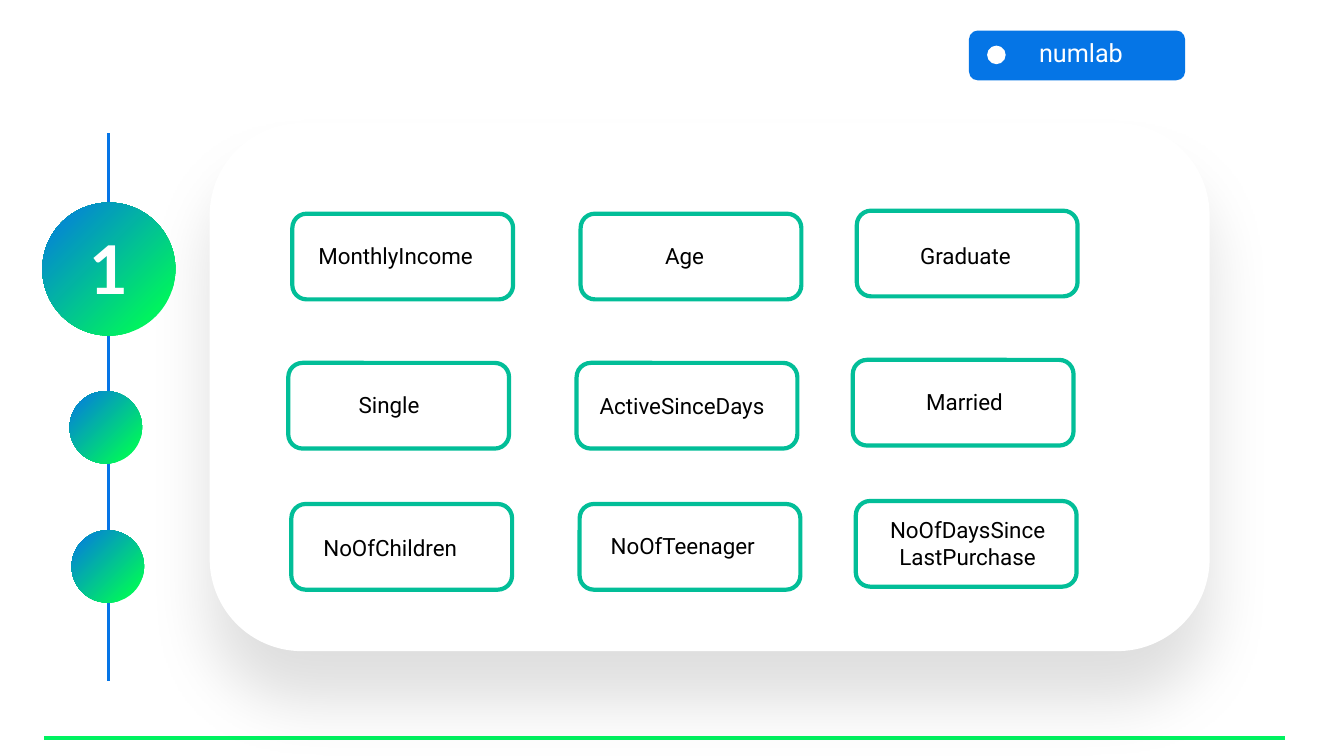
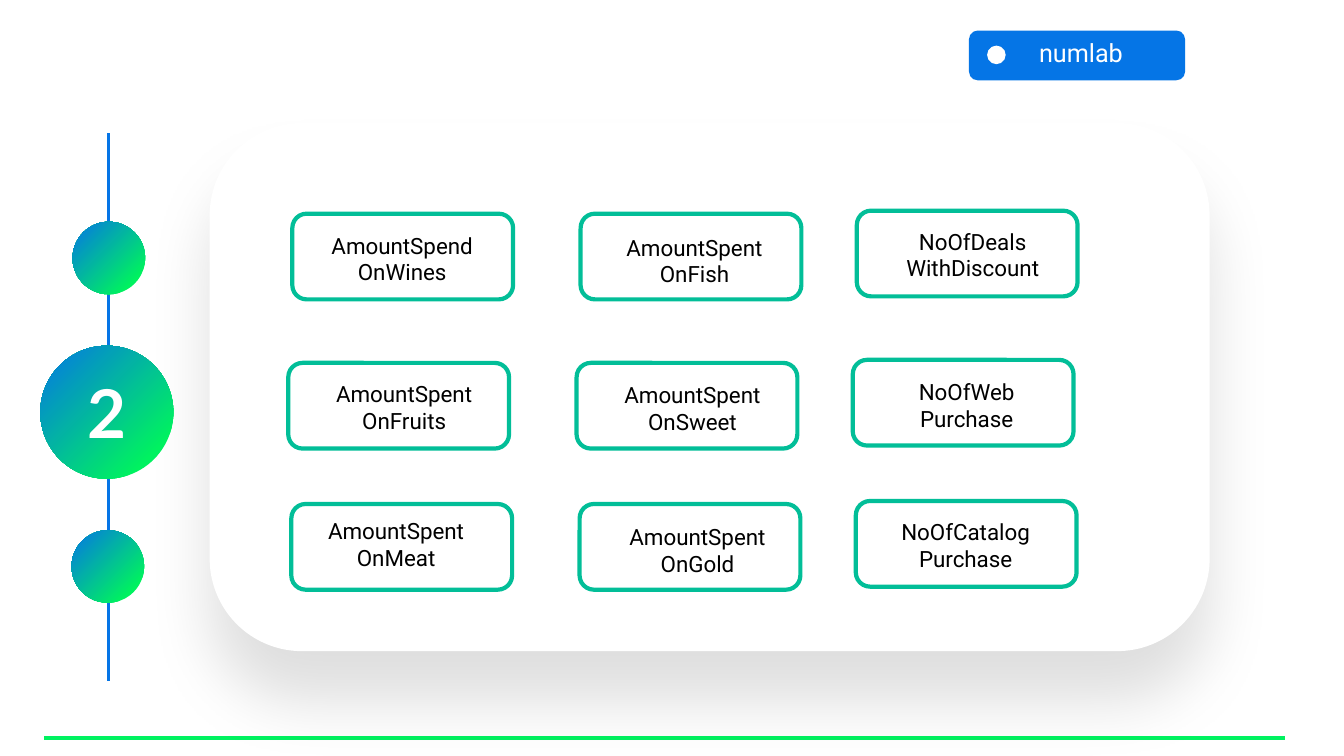
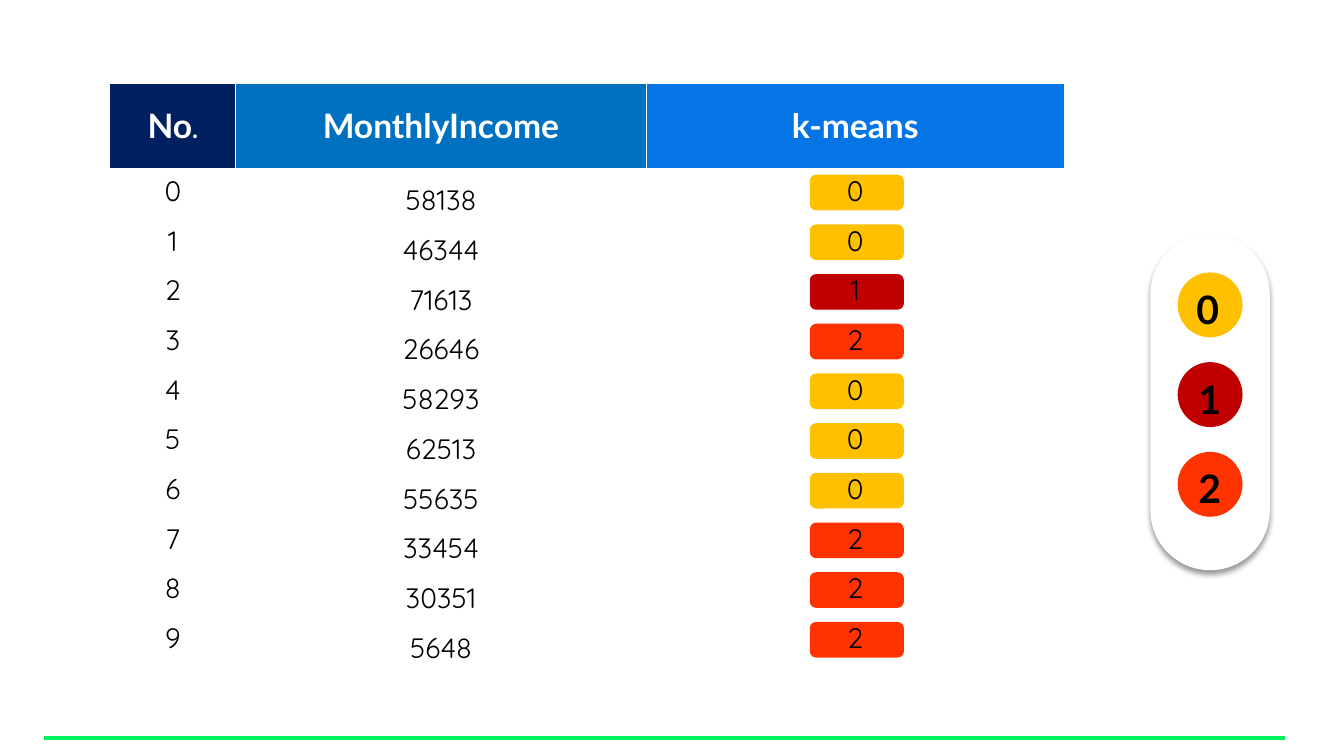
from collections import namedtuple

from lxml import etree
from pptx import Presentation
from pptx import util as u
from pptx.dml import color
from pptx.enum import shapes, text
from pptx.oxml import ns

CELL = u.Inches(0.1)
COLUMNS, ROWS = 133.33, 75
GREEN, BLUE, TEAL = "00F260", "0575E6", "02BE98"
WHITE, BLACK = "FFFFFF", "000000"
CLUSTERS = {"0": "FFC000", "1": "C00000", "2": "FF3300"}
ROUND, CIRCLE = shapes.MSO_SHAPE.ROUNDED_RECTANGLE, shapes.MSO_SHAPE.FLOWCHART_CONNECTOR
CENTER, LEFT = text.PP_ALIGN.CENTER, text.PP_ALIGN.LEFT
PLAIN_TABLE = "{2D5ABB26-0587-4C30-8999-92F81FD0307C}"

Style = namedtuple("Style", "font size color bold")
LABEL = Style("Roboto", 16, BLACK, False)
BADGE = Style("Roboto", 18, WHITE, False)
STEP = Style("Lato", 48, WHITE, True)
LEGEND = Style("Lato", 28, BLACK, True)
HEADER = Style("Lato", 24, WHITE, True)
HEADER_DOT = Style("Lato", 18, WHITE, True)
VALUE = Style("Quicksand", 20, BLACK, False)

FEATURE_SLIDES = [
    {
        "step": "1",
        "large": (4.2, 20.1),
        "small": [(6.9, 38.8), (7.1, 52.6)],
        "tiles": [
            [("MonthlyIncome", 1.6, 2.3), ("Age", 7.4, 2.3), ("Graduate", 5.3, 2.6)],
            [("Single", 6, 2.3), ("ActiveSinceDays", 1.3, 2.4), ("Married", 6.3, 2.3)],
            [("NoOfChildren", 2.2, 2.5), ("NoOfTeenager", 2.1, 2.3),
             ("NoOfDaysSince\nLastPurchase", -1.4, 1)],
        ],
    },
    {
        "step": "2",
        "large": (4, 34.3),
        "small": [(7.2, 22), (7.1, 52.6)],
        "tiles": [
            [("AmountSpend\nOnWines", -1.6, 1.3), ("AmountSpent\nOnFish", -1.2, 1.5),
             ("NoOfDeals\nWithDiscount", -1, 1.2)],
            [("AmountSpent\nOnFruits", -1, 1.2), ("AmountSpent\nOnSweet", -1, 1.3),
             ("NoOfWeb\nPurchase", -1.2, 1.3)],
            [("AmountSpent\nOnMeat", -2.1, 0.8), ("AmountSpent\nOnGold", -0.8, 1.4),
             ("NoOfCatalog\nPurchase", -1.6, 1.2)],
        ],
    },
]
INCOMES = ["58138", "46344", "71613", "26646", "58293", "62513", "55635", "33454", "30351", "5648"]
ASSIGNED = "0012000222"


class Box(namedtuple("Box", "left top width height")):
    """A rectangle measured in grid cells."""

    def inside(self, left, top, width, height):
        """Return a box placed relative to this one."""
        return Box(self.left + left, self.top + top, width, height)

    def lengths(self):
        """Return the four lengths in slide units."""
        return [round(value * CELL) for value in self]


def rgb(value):
    """Turn a hex string into a colour."""
    return color.RGBColor.from_string(value)


def write(paragraph, content, style, align=CENTER):
    """Add one formatted run to a paragraph."""
    paragraph.alignment = align
    run = paragraph.add_run()
    run.text = content
    run.font.name, run.font.size, run.font.bold = style.font, u.Pt(style.size), style.bold
    run.font.color.rgb = rgb(style.color)


def add_label(slide, box, content, style):
    """Add a text box; several lines are centred."""
    frame = slide.shapes.add_textbox(*box.lengths()).text_frame
    frame.word_wrap = True
    frame.auto_size = text.MSO_AUTO_SIZE.SHAPE_TO_FIT_TEXT
    lines = content.split("\n")
    for index, line in enumerate(lines):
        paragraph = frame.add_paragraph() if index else frame.paragraphs[0]
        write(paragraph, line, style, CENTER if len(lines) > 1 else LEFT)


def add_form(slide, kind, box, fill=None, line=None, weight=1, corner=None):
    """Add a flat preset shape."""
    shape = slide.shapes.add_shape(kind, *box.lengths())
    shape.shadow.inherit = False
    if fill:
        shape.fill.solid()
        shape.fill.fore_color.rgb = rgb(fill)
    else:
        shape.fill.background()
    if line:
        shape.line.color.rgb = rgb(line)
        shape.line.width = u.Pt(weight)
    else:
        shape.line.fill.background()
    if corner is not None:
        shape.adjustments[0] = corner
    return shape


def add_shadow(shape, opacity, blur, distance):
    """Give a shape a soft black shadow that falls downwards."""
    effects = shape._element.spPr.find(ns.qn("a:effectLst"))
    shadow = etree.SubElement(
        effects, ns.qn("a:outerShdw"), blurRad=str(u.Pt(blur)), dist=str(u.Pt(distance)),
        dir="5400000", algn="t", rotWithShape="0")
    tint = etree.SubElement(shadow, ns.qn("a:srgbClr"), val=BLACK)
    etree.SubElement(tint, ns.qn("a:alpha"), val=str(opacity * 1000))


def add_line(slide, box, line, weight):
    """Draw a straight line from corner to corner of a box."""
    left, top, width, height = box.lengths()
    connector = slide.shapes.add_connector(
        shapes.MSO_CONNECTOR.STRAIGHT, left, top, left + width, top + height)
    connector.line.color.rgb = rgb(line)
    connector.line.width = u.Pt(weight)
    etree.SubElement(connector._element.spPr, ns.qn("a:effectLst"))


def add_base(presentation):
    """Add a blank slide with the footer rule."""
    slide = presentation.slides.add_slide(presentation.slide_layouts[6])
    add_line(slide, Box(4.4, 73.2, 123.1, 0), GREEN, 3)
    return slide


def add_bubble(slide, box):
    """Add a gradient circle."""
    fill = add_form(slide, CIRCLE, box).fill
    fill.gradient()
    fill.gradient_angle = 135
    for stop, position, tint in zip(fill.gradient_stops, (0.17, 1), (GREEN, BLUE)):
        stop.position = position
        stop.color.rgb = rgb(tint)


def add_timeline(slide, box, step, large, small):
    """Draw the vertical line, its circles and the current step."""
    add_line(slide, box, BLUE, 2.25)
    for left, top in small:
        add_bubble(slide, Box(left, top, 7.2, 7.2))
    current = Box(*large, 13.2, 13.2)
    add_bubble(slide, current)
    add_label(slide, current.inside(3.7, 2, 25, 9.1), step, STEP)


def add_card(slide, box, tiles):
    """Draw the card and its grid of feature tiles."""
    add_shadow(add_form(slide, ROUND, box, WHITE, corner=0.175), 12, 46, 36)
    for row, top, shift in zip(tiles, (9, 23.8, 37.8), (0, -0.4, -0.1)):
        for (content, across, down), left, lift in zip(row, (8.2, 36.8, 64.2), (0, 0, 0.3)):
            tile = box.inside(left + shift, top - lift, 21.9, 8.5)
            add_form(slide, ROUND, tile, line=TEAL, weight=3)
            height = 6.4 if "\n" in content else 3.7
            add_label(slide, tile.inside(across, down, 25, height), content, LABEL)


def add_badge(slide, box):
    """Draw the data source badge."""
    add_form(slide, ROUND, box, BLUE, BLUE)
    add_label(slide, box.inside(5.9, 0.1, 25, 4), "numlab", BADGE)
    add_form(slide, CIRCLE, box.inside(1.8, 1.5, 1.7, 1.7), WHITE, WHITE)


def add_feature_slide(presentation, step, large, small, tiles):
    """Build a slide with a timeline and a card of features."""
    slide = add_base(presentation)
    add_card(slide, Box(20.8, 12.2, 99.2, 52.4), tiles)
    add_timeline(slide, Box(10.8, 13.2, 0, 54.4), step, large, small)
    add_badge(slide, Box(96.2, 3.1, 21.3, 4.8))


def add_border(cell):
    """Draw a thin white line on the right of a cell."""
    line = etree.Element(ns.qn("a:lnR"), w=str(u.Pt(1)))
    fill = etree.SubElement(line, ns.qn("a:solidFill"))
    etree.SubElement(fill, ns.qn("a:srgbClr"), val=WHITE)
    cell._tc.get_or_add_tcPr().insert(0, line)


def add_cluster_table(slide, box):
    """Add the table of incomes with a coloured pill behind each cluster."""
    head, pitch = 8.4, 4.93
    for index, cluster in enumerate(ASSIGNED):
        pill = box.inside(69.5, head + 0.7 + index * pitch, 9.2, 3.4)
        add_form(slide, ROUND, pill, CLUSTERS[cluster], CLUSTERS[cluster])
    table = slide.shapes.add_table(len(INCOMES) + 1, 3, *box.lengths()).table
    table.first_row = table.horz_banding = False
    table._tbl.tblPr.find(ns.qn("a:tableStyleId")).text = PLAIN_TABLE
    for column, width in zip(table.columns, (12.5, 40.7, 41.5)):
        column.width = round(width * CELL)
    for index, row in enumerate(table.rows):
        row.height = round((pitch if index else head) * CELL)

    headings = zip(table.rows[0].cells, ("No", "MonthlyIncome", "k-means"), ("002060", "0070C0", BLUE))
    for cell, content, fill in headings:
        cell.fill.solid()
        cell.fill.fore_color.rgb = rgb(fill)
        cell.vertical_anchor = text.MSO_ANCHOR.MIDDLE
        write(cell.text_frame.paragraphs[0], content, HEADER)
        add_border(cell)
    write(table.cell(0, 0).text_frame.paragraphs[0], ".", HEADER_DOT)

    for index, (income, cluster) in enumerate(zip(INCOMES, ASSIGNED)):
        cells = list(table.rows[index + 1].cells)
        for cell, content in zip(cells, (str(index), income, cluster)):
            cell.fill.background()
            write(cell.text_frame.paragraphs[0], content, VALUE)
        middle = cells[1]
        middle.vertical_anchor = text.MSO_ANCHOR.BOTTOM
        middle.margin_left = middle.margin_right = middle.margin_top = u.Inches(0.01)
        middle.margin_bottom = 0


def add_legend(slide, box):
    """Draw the capsule that explains the cluster colours."""
    add_shadow(add_form(slide, ROUND, box, WHITE, WHITE, corner=0.5), 40, 4, 3)
    for index, (cluster, fill) in enumerate(CLUSTERS.items()):
        dot = box.inside(2.7, 3.8 + index * 8.9, 6.3, 6.3)
        add_form(slide, CIRCLE, dot, fill, fill)
        add_label(slide, dot.inside(1 if index else 0.8, 0.7, 25, 5.7), cluster, LEGEND)


def add_cluster_slide(presentation):
    """Build the slide with the k-means result."""
    slide = add_base(presentation)
    add_cluster_table(slide, Box(10.9, 8.3, 94.7, 57.7))
    add_legend(slide, Box(114.2, 23.3, 11.7, 33.2))


def main():
    """Build and save the presentation."""
    presentation = Presentation()
    presentation.slide_width = round(COLUMNS * CELL)
    presentation.slide_height = ROWS * CELL
    for content in FEATURE_SLIDES:
        add_feature_slide(presentation, **content)
    add_cluster_slide(presentation)
    presentation.save("out.pptx")


if __name__ == "__main__":
    main()
